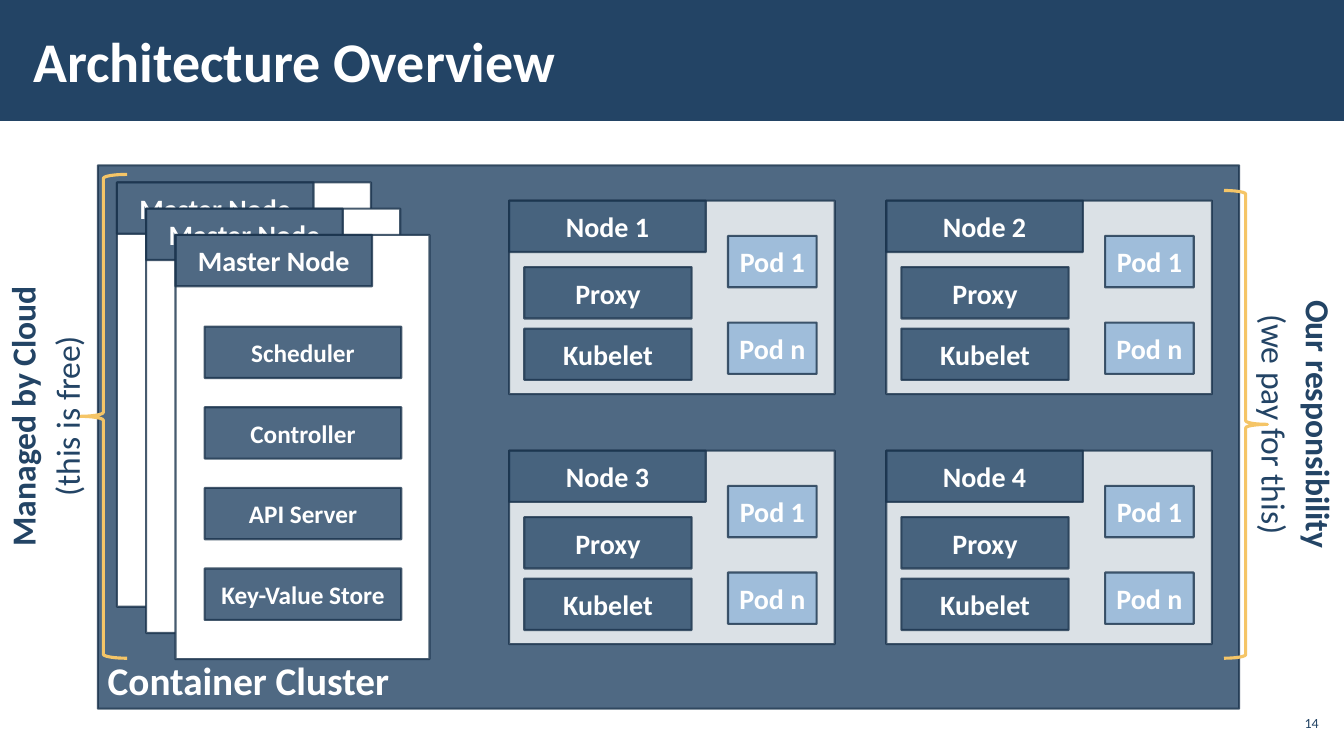
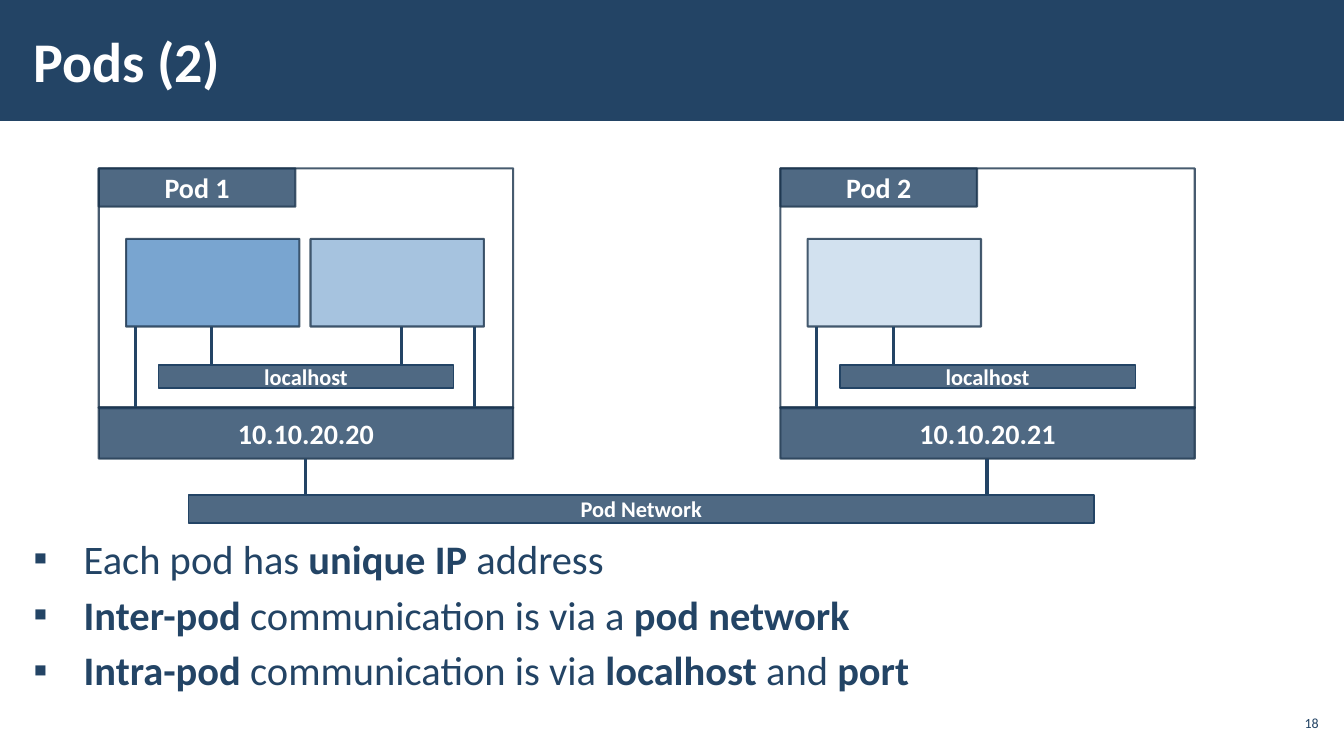
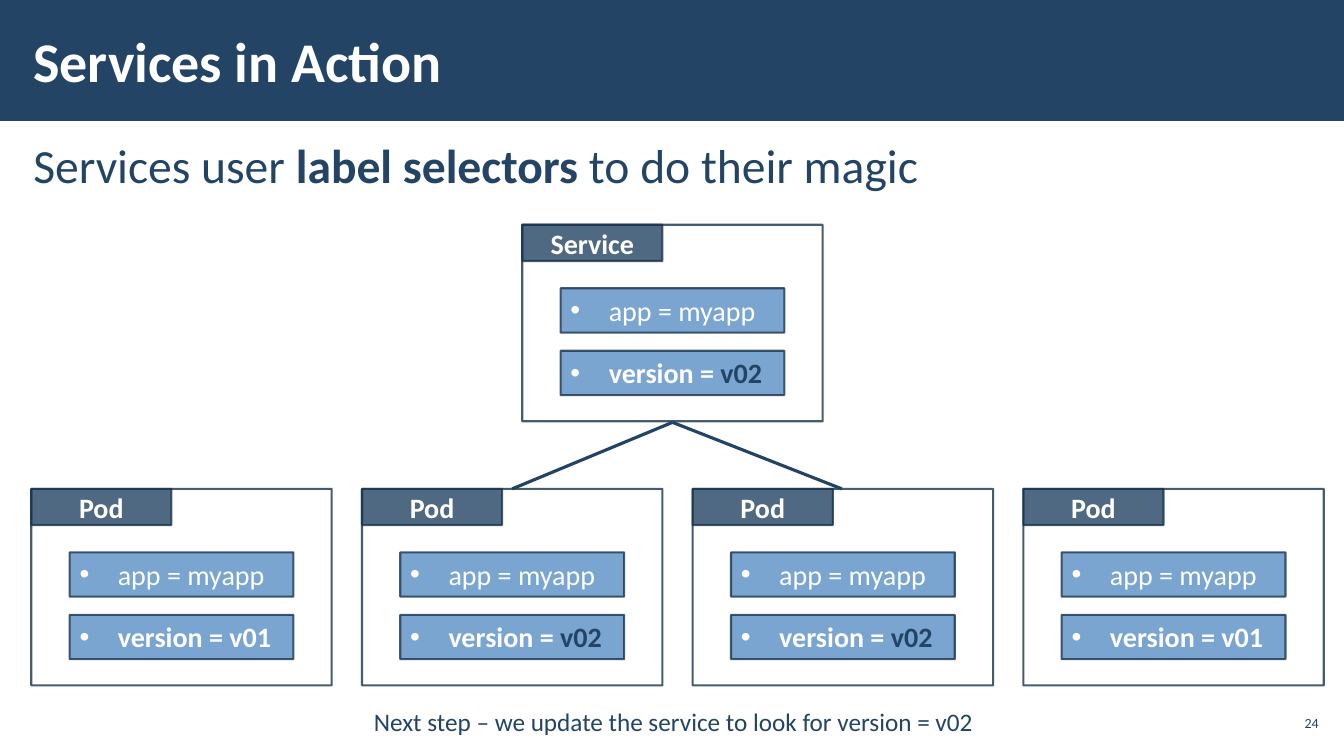
from lxml.etree import SubElement
from pptx import Presentation
from pptx.dml.color import RGBColor
from pptx.enum.shapes import MSO_CONNECTOR, MSO_SHAPE
from pptx.enum.text import MSO_ANCHOR, MSO_AUTO_SIZE, PP_ALIGN
from pptx.oxml.ns import qn
from pptx.util import Pt

SCALE = 9144
FONT = "Calibri"
COLORS = {
    "navy": "234465",
    "edge": "1A334C",
    "white": "FFFFFF",
    "blue": "588FC5",
    "sky": "90B4D8",
    "pale": "C7DAEC",
    "gold": "F5C567",
    "link": "214364",
}
BODY_INSETS = (12, 4, 12, 4)
NOTE_INSETS = (16, 12, 16, 12)


def px(*values):
    """Turn px lengths into EMU."""
    return [value * SCALE for value in values]


def rgb(name):
    """Look up a palette colour."""
    return RGBColor.from_string(COLORS[name])


def make_translucent(shape, where):
    """Give the solid colour found at an XML location 80% opacity."""
    for color in shape.element.spPr.xpath(where):
        SubElement(color, qn("a:alpha"), val="80000")


def write(para, text, size, color="navy", bold=False, accent=None, align=None):
    """Fill a paragraph; parts between asterisks are bold or take the accent colour."""
    para.alignment = align
    font = para.font
    font.name, font.size, font.bold = FONT, Pt(size), bold
    font.color.rgb = rgb(color)
    for index, part in enumerate(text.split("*")):
        if not part:
            continue
        span = para.add_run()
        span.text = part
        span.font.name, span.font.size = FONT, Pt(size)
        span.font.bold = bold or (index % 2 == 1 and accent is None)
        span.font.color.rgb = rgb(accent if index % 2 and accent else color)


def add_bullet(para, mark, indent):
    """Hang a bullet on a paragraph."""
    props = para._p.get_or_add_pPr()
    props.set("marL", str(indent * SCALE))
    props.set("indent", str(-indent * SCALE))
    SubElement(props, qn("a:buFont"), typeface="Arial")
    SubElement(props, qn("a:buChar"), char=mark)


def add_text(page, at, insets, anchor=MSO_ANCHOR.TOP, wrap=True):
    """Add an empty text box and return its frame and shape."""
    box = page.shapes.add_textbox(*px(*at))
    frame = box.text_frame
    frame.word_wrap = wrap
    frame.vertical_anchor = anchor
    (frame.margin_left, frame.margin_top,
     frame.margin_right, frame.margin_bottom) = px(*insets)
    return frame, box


def add_box(shapes, at, fill, text="", size=20, align=PP_ALIGN.CENTER,
            anchor=MSO_ANCHOR.MIDDLE, bold=True, accent=None, opaque=False, thin=False):
    """Add an outlined rectangle with optional white text."""
    box = shapes.add_shape(MSO_SHAPE.RECTANGLE, *px(*at))
    box.shadow.inherit = False
    box.fill.solid()
    box.fill.fore_color.rgb = rgb(fill)
    box.line.color.rgb = rgb("navy" if thin else "edge")
    box.line.width = Pt(1 if thin else 1.5)
    if not opaque:
        make_translucent(box, "./a:solidFill/a:srgbClr")
    if not thin:
        make_translucent(box, "./a:ln/a:solidFill/a:srgbClr")
    if text:
        box.text_frame.vertical_anchor = anchor
        box.text_frame.word_wrap = True
        write(box.text_frame.paragraphs[0], text, size, "white", bold, accent, align)
    return box


def add_line(page, start, end, color="navy"):
    """Draw a straight line between two points."""
    line = page.shapes.add_connector(MSO_CONNECTOR.STRAIGHT, *px(*start, *end))
    line.line.color.rgb = rgb(color)
    line.line.width = Pt(2.25)
    SubElement(line.element.spPr, qn("a:effectLst"))


def add_brace(page, at, rotation):
    """Draw a golden brace."""
    brace = page.shapes.add_shape(MSO_SHAPE.RIGHT_BRACE, *px(*at))
    brace.shadow.inherit = False
    brace.rotation = rotation
    brace.fill.background()
    brace.line.color.rgb = rgb("gold")
    brace.line.width = Pt(2.25)


def add_page(deck, title, number):
    """Start a page with the title band and page number."""
    page = deck.slides.add_slide(deck.slide_layouts[6])
    band = page.shapes.add_shape(MSO_SHAPE.RECTANGLE, *px(0, 0, 1333, 120))
    band.shadow.inherit = False
    band.fill.solid()
    band.fill.fore_color.rgb = rgb("navy")
    band.line.fill.background()
    frame, _ = add_text(page, (21, 11, 1040, 97), BODY_INSETS, MSO_ANCHOR.MIDDLE)
    write(frame.paragraphs[0], title, 40, "white", True)
    frame, _ = add_text(page, (1265, 700, 47, 34), (4, 4, 4, 4), MSO_ANCHOR.MIDDLE)
    write(frame.paragraphs[0], str(number), 10, align=PP_ALIGN.RIGHT)
    return page


def add_master(page, left, top, services=()):
    """Draw a master node card with its services."""
    shapes = page.shapes.add_group_shape().shapes
    add_box(shapes, (left, top, 252, 421), "white", opaque=True)
    add_box(shapes, (left, top, 195, 51), "navy", "Master Node")
    for row, service in enumerate(services):
        add_box(shapes, (left + 29, top + 91 + 80 * row, 195, 51), "navy", service, 18)


def add_node(page, left, top, name):
    """Draw a worker node with its agents and pods."""
    shapes = page.shapes.add_group_shape().shapes
    add_box(shapes, (left, top, 323, 192), "white")
    add_box(shapes, (left, top, 195, 51), "navy", name)
    for row, agent in enumerate(("Proxy", "Kubelet")):
        add_box(shapes, (left + 15, top + 66 + 61 * row, 166, 51), "navy", agent)
    for row, pod in enumerate(("Pod 1", "Pod n")):
        add_box(shapes, (left + 217, top + 35 + 86 * row, 88, 51), "sky", pod)


def add_side_note(page, at, rotation, heading, detail):
    """Write a two-line note turned along the slide edge."""
    frame, box = add_text(page, at, NOTE_INSETS, wrap=False)
    frame.auto_size = MSO_AUTO_SIZE.SHAPE_TO_FIT_TEXT
    box.rotation = rotation
    for para, text, bold in ((frame.paragraphs[0], heading, True),
                             (frame.add_paragraph(), detail, False)):
        write(para, text, 24, bold=bold, align=PP_ALIGN.CENTER)
        para.line_spacing = 1.1


def add_pod_network(page, left, top, name, address, containers):
    """Draw a pod whose containers share localhost and one address."""
    shapes = page.shapes
    add_box(shapes, (left, top, 411, 238), "white")
    add_box(shapes, (left, top, 195, 38), "navy", name)
    for column, (fill, _) in enumerate(containers):
        add_box(shapes, (left + 27 + 183 * column, top + 70, 172, 87), fill)
    add_box(shapes, (left, top + 237, 411, 51), "navy", address)
    add_box(shapes, (left + 59, top + 195, 293, 23), "navy", "localhost", 16, thin=True)
    for _, (to_address, to_localhost) in containers:
        for x, drop in ((to_address, 80), (to_localhost, 38)):
            add_line(page, (left + x, top + 157), (left + x, top + 157 + drop))
    add_line(page, (left + 205, top + 288), (left + 205, top + 325))


def add_label_card(page, left, top, name, version):
    """Draw a card listing the labels of a pod or service."""
    shapes = page.shapes.add_group_shape().shapes
    add_box(shapes, (left, top, 298, 195), "white")
    add_box(shapes, (left, top, 139, 36), "navy", name)
    for row, text in enumerate(("app = myapp", f"version = {version}")):
        label = add_box(shapes, (left + 38, top + 63 + 62 * row, 222, 44), "blue", text,
                        align=None, anchor=MSO_ANCHOR.TOP, bold=row == 1, accent="navy")
        add_bullet(label.text_frame.paragraphs[0], "•", 38)


def build_architecture(deck):
    """Build the cluster overview."""
    page = add_page(deck, "Architecture Overview", 14)
    add_box(page.shapes, (97, 164, 1132, 539), "navy", "Container Cluster", 28,
            align=None, anchor=MSO_ANCHOR.BOTTOM)
    services = ("Scheduler", "Controller", "API Server", "Key-Value Store")
    for index, listed in enumerate(((), (), services)):
        add_master(page, 116 + 29 * index, 181 + 26 * index, listed)
    for index in range(4):
        row, column = divmod(index, 2)
        add_node(page, 505 + 374 * column, 199 + 248 * row, f"Node {index + 1}")
    add_brace(page, (79, 173, 47, 480), 180)
    add_side_note(page, (-105, 358, 292, 110), 270, "Managed by Cloud", "(this is free)")
    add_brace(page, (1214, 189, 43, 464), 0)
    add_side_note(page, (1149, 366, 281, 110), 90, "Our responsibility", "(we pay for this)")


def build_pods(deck):
    """Build the pod networking page."""
    page = add_page(deck, "Pods (2)", 18)
    frame, _ = add_text(page, (21, 535, 1292, 164), BODY_INSETS)
    points = ("Each pod has *unique IP *address",
              "*Inter-pod* communication is via a *pod network*",
              "*Intra-pod* communication is via *localhost* and *port*")
    for index, point in enumerate(points):
        para = frame.add_paragraph() if index else frame.paragraphs[0]
        write(para, point, 28.9)
        para.line_spacing = 0.8
        para.space_before = para.space_after = Pt(6)
        add_bullet(para, "▪", 50)
    add_pod_network(page, 98, 167, "Pod 1", "10.10.20.20",
                    (("blue", (36, 112)), ("sky", (373, 300))))
    add_pod_network(page, 774, 167, "Pod 2", "10.10.20.21", (("pale", (36, 112)),))
    add_box(page.shapes, (187, 491, 898, 28), "navy", "Pod Network", 16, thin=True)


def build_services(deck):
    """Build the label selector page."""
    page = add_page(deck, "Services in Action", 24)
    frame, _ = add_text(page, (21, 131, 1292, 569), BODY_INSETS)
    intro = frame.paragraphs[0]
    write(intro, "Services user *label selectors *to do their magic", 34)
    intro.space_before = intro.space_after = Pt(6)
    for column, version in enumerate(("v01", "*v02*", "*v02*", "v01")):
        add_label_card(page, 31 + 328 * column, 485, "Pod", version)
    add_label_card(page, 518, 223, "Service", "*v02*")
    for x in (508, 835):
        add_line(page, (667, 419), (x, 485), "link")
    frame, _ = add_text(page, (238, 686, 860, 56), NOTE_INSETS)
    frame.auto_size = MSO_AUTO_SIZE.SHAPE_TO_FIT_TEXT
    caption = frame.paragraphs[0]
    write(caption, "Next step – we update the service to look for version = v02", 18,
          align=PP_ALIGN.CENTER)
    caption.line_spacing = 1.1


def main():
    """Build and save the deck."""
    deck = Presentation()
    deck.slide_width, deck.slide_height = px(1333, 750)
    build_architecture(deck)
    build_pods(deck)
    build_services(deck)
    deck.save("out.pptx")


if __name__ == "__main__":
    main()
